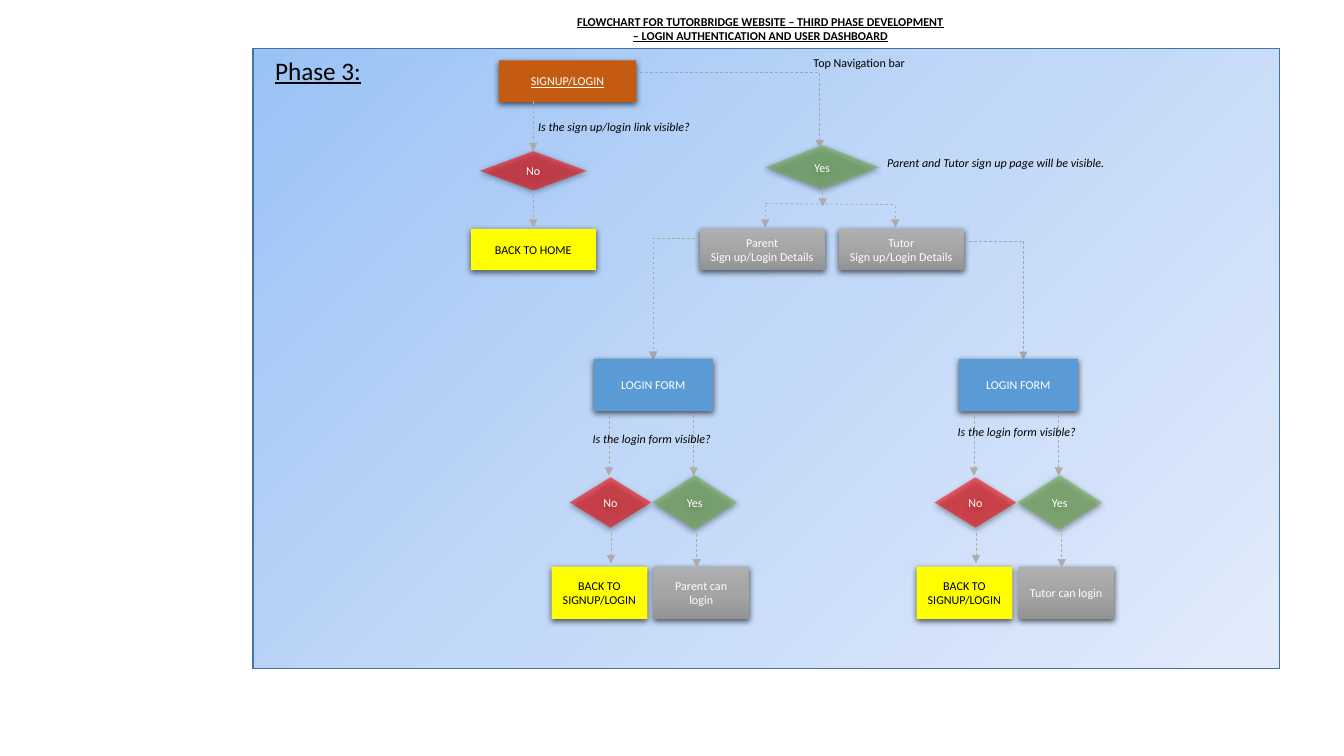
from copy import deepcopy
from pptx import Presentation
from pptx.dml.color import RGBColor
from pptx.enum.dml import MSO_LINE
from pptx.enum.shapes import MSO_CONNECTOR, MSO_SHAPE
from pptx.enum.text import MSO_ANCHOR, PP_ALIGN
from pptx.oxml import parse_xml
from pptx.oxml.ns import nsdecls, qn
from pptx.util import Inches, Pt

BOX, DECISION = MSO_SHAPE.RECTANGLE, MSO_SHAPE.FLOWCHART_DECISION
RED, GREEN, YELLOW, BLUE, ORANGE = "FF0000", "70AD47", "FFFF00", "5B9BD5", "C55A11"
GREY = ("AFAFAF", "A5A5A5", "939393")
SKY = ("9AC3F5", "C2D8F8", "E1EBFB")
PANEL = (2.51, 0.48, 10.18, 6.15)
WIDE, SMALL = (1.24, 0.41), (0.95, 0.52)
ROW = {"start": 0.805, "choice": 1.695, "page": 2.475, "form": 3.82,
       "answer": 4.985, "result": 5.88}

NODES = [
    (BOX, "SIGNUP/LOGIN", ORANGE, 5.63, ROW["start"], (1.36, 0.41)),
    (DECISION, "No", RED, 5.29, ROW["choice"], (1.06, 0.39)),
    (DECISION, "Yes", GREEN, 8.155, 1.66, (1.13, 0.44)),
    (BOX, "BACK TO HOME", YELLOW, 5.29, ROW["page"], WIDE),
    (BOX, "Parent\nSign up/Login Details", GREY, 7.56, ROW["page"], WIDE),
    (BOX, "Tutor\nSign up/Login Details", GREY, 8.94, ROW["page"], WIDE),
]
ARROWS = [
    (5.29, 1, 5.29, 1.5), (5.29, 1.89, 5.29, 2.26), (8.16, 1.86, 8.16, 2.05),
    (7.59, 2.03, 7.59, 2.26), (8.88, 2.04, 8.88, 2.26),
]
ELBOWS = [(6.35, 0.72, 8.13, 1.47), (6.94, 2.36, 6.48, 3.57), (9.56, 2.39, 10.15, 3.57)]
SPLIT = (7.59, 2.02, 8.88, 2.03)
BRANCHES = [(6.48, "Parent can login", 4.23), (10.1, "Tutor can login", 4.16)]
BRANCH_NODES = [
    (BOX, "LOGIN FORM", BLUE, 0, ROW["form"], (1.18, 0.52)),
    (DECISION, "No", RED, -0.425, ROW["answer"], (0.81, 0.5)),
    (DECISION, "Yes", GREEN, 0.41, ROW["answer"], (0.84, 0.54)),
    (BOX, "BACK TO SIGNUP/LOGIN", YELLOW, -0.535, ROW["result"], SMALL),
]
BRANCH_ARROWS = [(-0.44, 4.13, 4.72), (0.4, 4.12, 4.72), (-0.42, 5.24, 5.59), (0.43, 5.25, 5.63)]
TITLE = ("FLOWCHART FOR TUTORBRIDGE WEBSITE – THIRD PHASE DEVELOPMENT "
         "– LOGIN AUTHENTICATION AND USER DASHBOARD")
LABELS = [
    (TITLE, (5.61, 0.09, 3.87, 0.39), {"bold": True, "underline": True}),
    ("Top Navigation bar", (7.97, 0.5, 1.67, 0.19), {}),
    ("Is the sign up/login link visible?", (5.24, 1.14, 2.47, 0.19), {"italic": True}),
    ("Parent and Tutor sign up page will be visible.", (8.7, 1.49, 2.47, 0.25), {"italic": True}),
    ("Phase 3:", (2.63, 0.5, 1.5, 0.4), {"size": Pt(18), "underline": True}),
]
SHADOW = ('<a:outerShdw {} blurRad="57150" dist="19050" dir="5400000" algn="ctr" rotWithShape="0">'
          '<a:srgbClr val="000000"><a:alpha val="63000"/></a:srgbClr></a:outerShdw>')


def color(value):
    return RGBColor.from_string(value)


def inches(values):
    return [Inches(value) for value in values]


def write(shape, text, hue="000000", align=PP_ALIGN.CENTER, **formats):
    frame = shape.text_frame
    frame.word_wrap = True
    frame.text = text
    for paragraph in frame.paragraphs:
        paragraph.alignment = align
        paragraph.font.color.rgb = color(hue)
        for name, value in {"name": "Calibri", "size": Pt(8.6), **formats}.items():
            setattr(paragraph.font, name, value)


def paint(shape, fill, angle=270):
    if isinstance(fill, str):
        shape.fill.solid()
        shape.fill.fore_color.rgb = color(fill)
        return
    shape.fill.gradient()
    shape.fill.gradient_angle = angle
    stops = shape._element.spPr.find(qn("a:gradFill")).find(qn("a:gsLst"))
    stops.append(deepcopy(stops[0]))
    for index, stop in enumerate(shape.fill.gradient_stops):
        stop.position = index / 2
        stop.color.rgb = color(fill[index])


def add_node(kind, text, fill, center, middle, size):
    width, height = size
    shape = slide.shapes.add_shape(
        kind, *inches((center - width / 2, middle - height / 2, width, height)))
    paint(shape, fill)
    shape.line.fill.background()
    shape.shadow.inherit = False
    properties = shape._element.spPr
    properties.find(qn("a:effectLst")).append(parse_xml(SHADOW.format(nsdecls("a"))))
    if kind == DECISION:
        alpha = parse_xml(f'<a:alpha {nsdecls("a")} val="55000"/>')
        properties.find(qn("a:solidFill"))[0].append(alpha)
    shape.text_frame.vertical_anchor = MSO_ANCHOR.MIDDLE
    write(shape, text, "000000" if fill == YELLOW else "FFFFFF", underline=fill == ORANGE)


def add_line(ends, head=True, bent=False, hue="AFABAB"):
    kind = MSO_CONNECTOR.ELBOW if bent else MSO_CONNECTOR.STRAIGHT
    connector = slide.shapes.add_connector(kind, *inches(ends))
    connector.line.color.rgb = color(hue)
    connector.line.width = Pt(0.5)
    connector.line.dash_style = MSO_LINE.DASH
    properties = connector._element.spPr
    if bent:
        properties.find(qn("a:prstGeom")).set("prst", "bentConnector2")
    if head:
        properties.find(qn("a:ln")).append(
            parse_xml(f'<a:tailEnd {nsdecls("a")} type="triangle"/>'))
    properties.append(parse_xml(f'<a:effectLst {nsdecls("a")}/>'))


def add_label(text, place, formats):
    align = PP_ALIGN.CENTER if text == TITLE else PP_ALIGN.LEFT
    write(slide.shapes.add_textbox(*inches(place)), text, align=align, **formats)


def build():
    """Draw the panel, the sign-up flow, both login branches and the labels."""
    panel = slide.shapes.add_shape(BOX, *inches(PANEL))
    paint(panel, SKY, 315)
    panel.line.color.rgb = color("43739E")
    panel.line.width = Pt(1)
    panel.shadow.inherit = False
    for node in NODES:
        add_node(*node)
    for ends in ARROWS:
        add_line(ends)
    for ends in ELBOWS:
        add_line(ends, bent=True, hue="A6A6A6")
    add_line(SPLIT, head=False)
    for axis, outcome, question_top in BRANCHES:
        result = (BOX, outcome, GREY, 0.475, ROW["result"], SMALL)
        for kind, text, fill, offset, middle, size in BRANCH_NODES + [result]:
            add_node(kind, text, fill, axis + offset, middle, size)
        for offset, top, bottom in BRANCH_ARROWS:
            add_line((axis + offset, top, axis + offset, bottom))
        add_label("Is the login form visible?", (axis - 0.7, question_top, 1.52, 0.25),
                  {"italic": True})
    for label in LABELS:
        add_label(*label)


presentation = Presentation()
presentation.slide_width, presentation.slide_height = inches((13.33, 7.5))
slide = presentation.slides.add_slide(presentation.slide_layouts[6])
build()
presentation.save("out.pptx")
